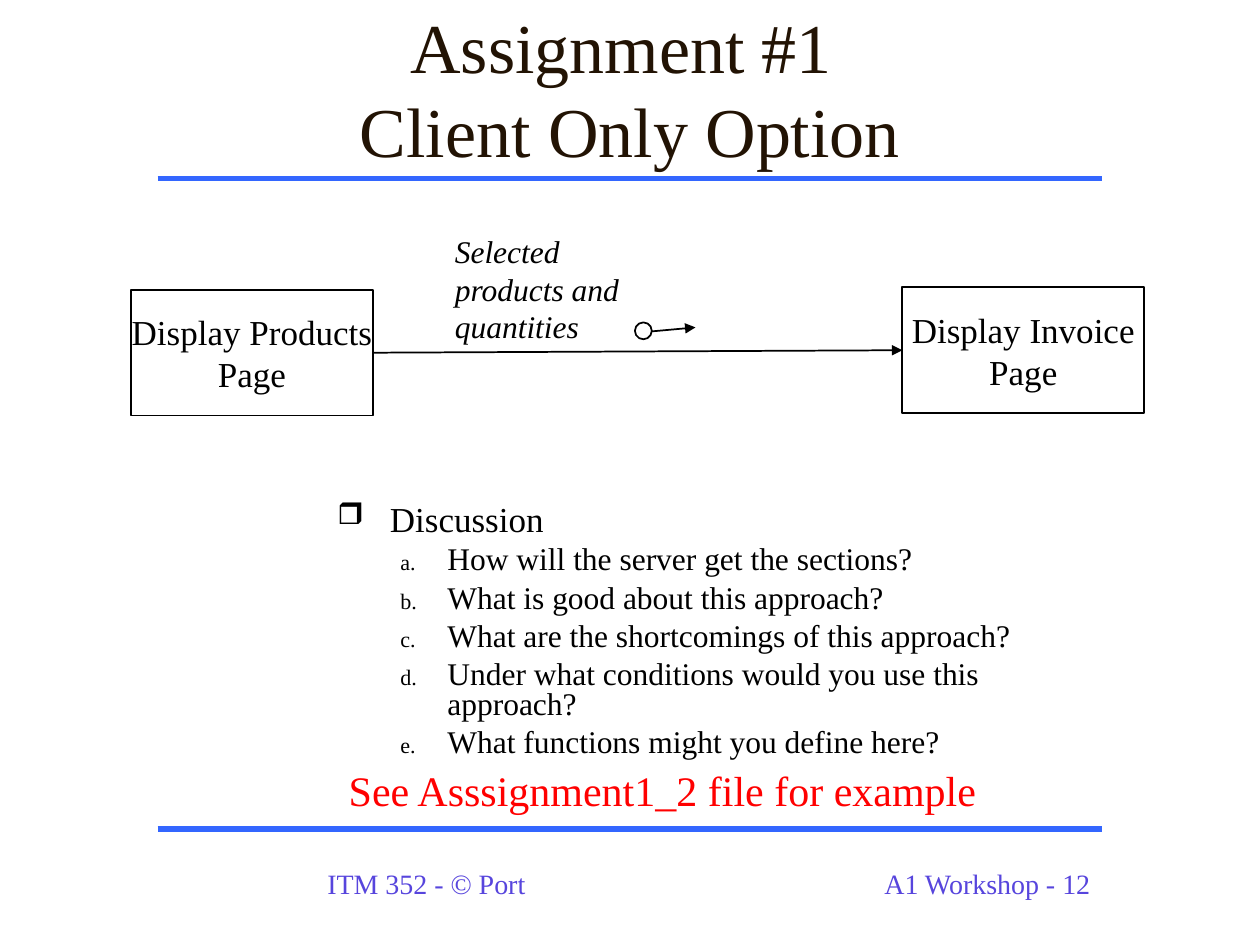
"""Build the "Client Only Option" assignment slide."""
from lxml import etree
from pptx import Presentation
from pptx import util as u
from pptx.dml.color import RGBColor
from pptx.enum import shapes, text
from pptx.oxml.ns import qn

COLORS = {"rule": "3366FF", "footer": "5745DD", "title": "221304", "ink": "000000", "note": "FF0000"}
FONT = "Times New Roman"
RULES = [3.6, 16.71]
LABELS = [
    ("ITM 352 - © Port", (6.35, 17.35, 10.59, 0.94), dict(size=16, color="footer")),
    ("A1 Workshop - 12", (17.58, 17.35, 6.15, 0.94), dict(size=16, color="footer")),
    ("Assignment #1 \vClient Only Option", (1.9, 0.18, 21.6, 3.18),
     dict(size=40, color="title", centered=True)),
    ("Selected products and quantities", (8.92, 4.55, 4.55, 2.54), dict(size=18, italic=True)),
    ("See Asssignment1_2 file for example", (6.78, 15.29, 13.21, 1.27),
     dict(size=24, color="note", wrap=False)),
]
PAGES = [("Display Products\nPage", 2.64, 5.84), ("Display Invoice\nPage", 18.19, 5.79)]
PAGE_SIZE = (4.88, 2.54)
FLOW_MARKER = (12.8, 6.5, 0.34, 0.34)
FLOW_ARROWS = [((7.52, 7.11), (18.19, 7.06)), ((13.14, 6.68), (14.02, 6.6))]
DISCUSSION_BOX = (6.55, 10.06, 14.1, 5.46)
DISCUSSION = "Discussion"
QUESTIONS = [
    "How will the server get the sections?",
    "What is good about this approach?",
    "What are the shortcomings of this approach?",
    "Under what conditions would you use this approach?",
    "What functions might you define here?",
]


def cm(values):
    return [u.Cm(value) for value in values]


def rgb(name):
    return RGBColor.from_string(COLORS[name])


def style(paragraph, size, color="ink", italic=False, centered=False):
    paragraph.alignment = text.PP_ALIGN.CENTER if centered else text.PP_ALIGN.LEFT
    font = paragraph.font
    font.name, font.size, font.italic = FONT, u.Pt(size), italic
    font.color.rgb = rgb(color)


def add_label(slide, words, box, wrap=True, **look):
    frame = slide.shapes.add_textbox(*cm(box)).text_frame
    frame.word_wrap = wrap
    if look.get("centered"):
        frame.vertical_anchor = text.MSO_ANCHOR.MIDDLE
    frame.paragraphs[0].text = words
    style(frame.paragraphs[0], **look)


def add_line(slide, start, end, color="ink", width=1, arrow=False):
    line = slide.shapes.add_connector(shapes.MSO_CONNECTOR.STRAIGHT, *cm(start + end))
    line.line.color.rgb, line.line.width = rgb(color), u.Pt(width)
    if arrow:
        etree.SubElement(line.line._get_or_add_ln(), qn("a:tailEnd"), type="triangle")
    etree.SubElement(line._element.spPr, qn("a:effectLst"))


def add_outline(slide, kind, box):
    shape = slide.shapes.add_shape(kind, *cm(box))
    shape.shadow.inherit = False
    shape.fill.background()
    shape.line.color.rgb, shape.line.width = rgb("ink"), u.Pt(1)
    return shape


def add_page(slide, words, left, top):
    frame = add_outline(slide, shapes.MSO_SHAPE.RECTANGLE, (left, top) + PAGE_SIZE).text_frame
    frame.word_wrap = False
    frame.vertical_anchor = text.MSO_ANCHOR.MIDDLE
    frame.text = words
    for paragraph in frame.paragraphs:
        style(paragraph, 20, centered=True)


def add_bullet(paragraph, margin, hanging, percent, tag, **marker):
    properties = paragraph._p.get_or_add_pPr()
    properties.set("marL", str(u.Cm(margin)))
    properties.set("indent", str(-u.Cm(hanging)))
    bullet_color = etree.SubElement(properties, qn("a:buClr"))
    etree.SubElement(bullet_color, qn("a:srgbClr"), val=COLORS["ink"])
    etree.SubElement(properties, qn("a:buSzPct"), val=str(percent * 1000))
    etree.SubElement(properties, qn(tag), **marker)


def add_discussion(slide):
    frame = slide.shapes.add_textbox(*cm(DISCUSSION_BOX)).text_frame
    frame.word_wrap = True
    frame.text = "\n".join([DISCUSSION] + QUESTIONS)
    heading, *questions = frame.paragraphs
    add_bullet(heading, 1.06, 1.06, 85, "a:buChar", char="❒")
    style(heading, 20)
    heading.line_spacing = 0.8
    for question in questions:
        question.level = 1
        add_bullet(question, 2.22, 0.95, 70, "a:buAutoNum", type="alphaLcPeriod")
        style(question, 18)
        question.line_spacing, question.space_before = 0.8, u.Pt(4.5)


def main():
    presentation = Presentation()
    presentation.slide_width, presentation.slide_height = cm((25.4, 19.05))
    slide = presentation.slides.add_slide(presentation.slide_layouts[6])
    for top in RULES:
        add_line(slide, (3.18, top), (22.22, top), "rule", 3)
    for words, box, look in LABELS:
        add_label(slide, words, box, **look)
    for page in PAGES:
        add_page(slide, *page)
    for start, end in FLOW_ARROWS:
        add_line(slide, start, end, arrow=True)
    add_outline(slide, shapes.MSO_SHAPE.OVAL, FLOW_MARKER)
    add_discussion(slide)
    presentation.save("out.pptx")


if __name__ == "__main__":
    main()
